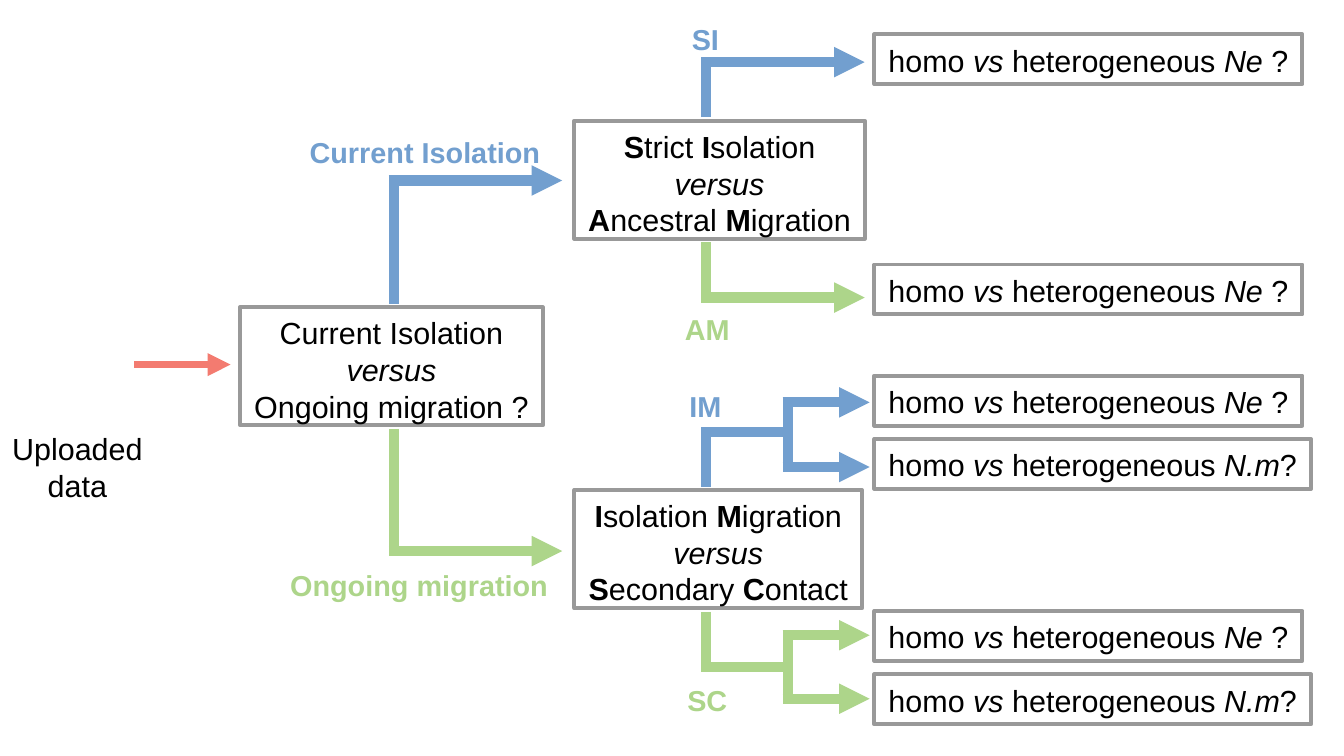
"""Build the demographic model comparison tree slide."""
import pptx
import pptx.chart.data
import pptx.dml.color
import pptx.enum.shapes
import pptx.enum.text
import pptx.oxml
import pptx.oxml.ns
import pptx.util
from lxml import etree

Pt = pptx.util.Pt
COLORS = {"text": "000000", "border": "999999", "input": "F37B70",
          "blue": "729FCF", "green": "ADD58A"}
FONT = "Arial"
BOX_H, LEAF_X, LEAF_H, GAP = 69.8, 516.2, 29.5, 2.1

VERSUS = [("versus", "i")]
QUESTIONS = [
    (141.8, 181.4, 178.6,
     [[("Current Isolation", "")], VERSUS, [("Ongoing migration ?", "")]]),
    (339.1, 71.3, 171.4,
     [[("S", "b"), ("trict ", ""), ("I", "b"), ("solation", "")], VERSUS,
      [("A", "b"), ("ncestral ", ""), ("M", "b"), ("igration", "")]]),
    (339.1, 289.4, 169.9,
     [[("I", "b"), ("solation ", ""), ("M", "b"), ("igration", "")], VERSUS,
      [("S", "b"), ("econdary ", ""), ("C", "b"), ("ontact", "")]]),
]
HOMO = [("homo ", ""), ("vs", "i"), (" heterogeneous ", "")]
NE = (252.7, [HOMO + [("Ne", "i"), (" ?", "")]])
NM = (257.8, [HOMO + [("N.m", "i"), ("?", "")]])
LEAVES = [(20.2, NE), (156.2, NE), (221.8, NE), (259.2, NM), (360.7, NE), (398.2, NM)]
LABELS = [
    ("Current Isolation", "blue", "LEFT", 175.7, 76.3, 163.4, 45.4),
    ("Ongoing migration", "green", "LEFT", 164.2, 331.9, 187.2, 45.4),
    ("SI", "blue", "CENTER", 397.4, 9.4, 38.2, 30.2),
    ("AM", "green", "CENTER", 395.3, 180.7, 44.6, 42.5),
    ("IM", "blue", "CENTER", 397.4, 226.1, 38.2, 30.2),
    ("SC", "green", "CENTER", 395.3, 399.6, 44.6, 42.5),
]
BRANCHES = [
    (0, 232.6, 331.9, 106.6, 325.4, True),
    (1, 416.9, 510.5, 36.7, 175.7, True),
    (2, 416.9, 465.1, 254.9, 393.8, False),
]
FORK_X, FORK_END = 465.1, 513.4
FORKS = [("blue", 254.9, (237.6, 275.8)), ("green", 393.8, (375.1, 412.6))]


def rgb(name):
    """Return the named colour."""
    return pptx.dml.color.RGBColor.from_string(COLORS[name])


def write(s, paragraphs, size, color, inset, align="CENTER", wrap=False):
    """Fill a shape with styled paragraphs."""
    tf = s.text_frame
    tf.word_wrap = wrap
    tf.vertical_anchor = pptx.enum.text.MSO_ANCHOR.TOP
    tf.margin_left = tf.margin_right = Pt(inset[0])
    tf.margin_top = tf.margin_bottom = Pt(inset[1])
    for i, runs in enumerate(paragraphs):
        p = tf.paragraphs[0] if i == 0 else tf.add_paragraph()
        p.alignment = pptx.enum.text.PP_ALIGN[align]
        for text, style in runs:
            r = p.add_run()
            r.text = text
            r.font.name, r.font.size = FONT, Pt(size)
            r.font.bold, r.font.italic = style == "b", style == "i"
            r.font.color.rgb = rgb(color)


def add_box(sp, x, y, w, h, paragraphs):
    """Add a grey outlined box with text."""
    s = sp.add_shape(pptx.enum.shapes.MSO_SHAPE.RECTANGLE, Pt(x), Pt(y), Pt(w), Pt(h))
    s.shadow.inherit = False
    s.fill.background()
    s.line.color.rgb, s.line.width = rgb("border"), Pt(2.3)
    write(s, paragraphs, 18, "text", (8, 4.3))


def add_text(sp, x, y, w, h, paragraphs, size, color, align, wrap):
    """Add a text box without outline."""
    s = sp.add_textbox(Pt(x), Pt(y), Pt(w), Pt(h))
    write(s, paragraphs, size, color, (7.2, 3.6), align, wrap)


def add_line(sp, x1, y1, x2, y2, color, width=6, arrow=False):
    """Add a straight line, with an arrowhead at its end if asked."""
    s = sp.add_connector(pptx.enum.shapes.MSO_CONNECTOR.STRAIGHT,
                         Pt(x1), Pt(y1), Pt(x2), Pt(y2))
    s.line.color.rgb, s.line.width = rgb(color), Pt(width)
    if arrow:
        tail = etree.SubElement(s.line._get_or_add_ln(), pptx.oxml.ns.qn("a:tailEnd"))
        tail.set("type", "triangle")
    etree.SubElement(s._element.spPr, pptx.oxml.ns.qn("a:effectLst"))


def add_elbow(sp, x, y, x_end, y_end, color, arrow):
    """Add a vertical stem and the horizontal arm that leaves its end."""
    add_line(sp, x, y, x, y_end, color)
    add_line(sp, x - 3, y_end, x_end, y_end, color, arrow=arrow)


def main():
    """Create and save the slide."""
    prs = pptx.Presentation()
    prs.slide_width, prs.slide_height = Pt(793.44), Pt(446.4)
    sp = prs.slides.add_slide(prs.slide_layouts[6]).shapes

    add_text(sp, 0, 250.6, 91.4, 47.5, [[("Uploaded", "")], [("data", "")]],
             18, "text", "CENTER", False)
    add_line(sp, 79.2, 215.3, 136.1, 215.3, "input", 4.5, True)
    for x, y, w, paragraphs in QUESTIONS:
        add_box(sp, x, y, w, BOX_H, paragraphs)
    for question, x, x_end, y_up, y_down, arrow in BRANCHES:
        top = QUESTIONS[question][1]
        add_elbow(sp, x, top - GAP, x_end, y_up, "blue", arrow)
        add_elbow(sp, x, top + BOX_H + GAP, x_end, y_down, "green", arrow)
    for text, color, align, x, y, w, h in LABELS:
        add_text(sp, x, y, w, h, [[(text, "b")]], 17, color, align, True)
    for color, y, ends in FORKS:
        for y_end in ends:
            add_elbow(sp, FORK_X, y, FORK_END, y_end, color, True)
    for y, (w, paragraphs) in LEAVES:
        add_box(sp, LEAF_X, y, w, LEAF_H, paragraphs)
    prs.save("out.pptx")


if __name__ == "__main__":
    main()
